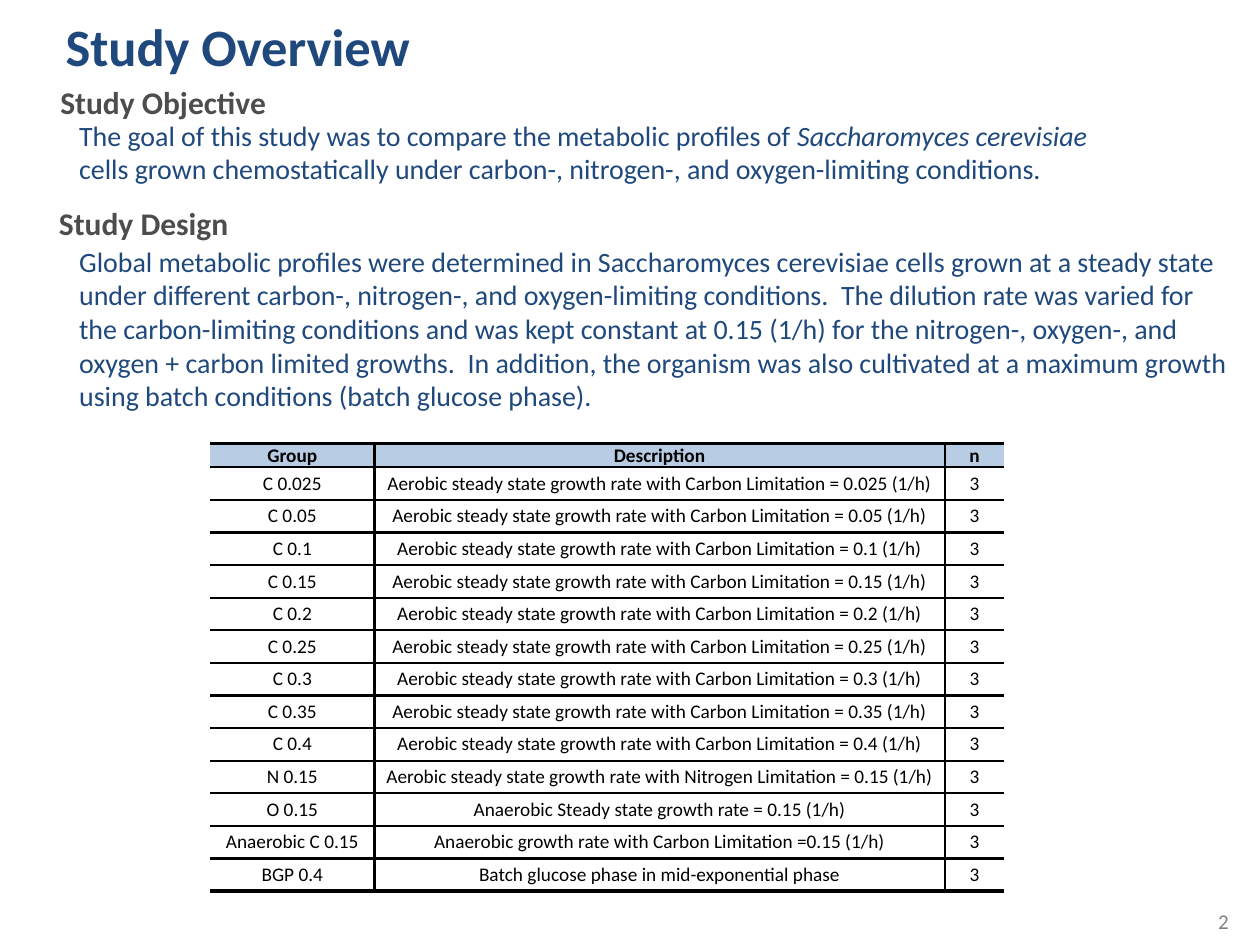
"""Build the study overview slide with its table of growth groups."""
import pptx
import pptx.util
import pptx.dml.color
import pptx.enum.text
import pptx.oxml.ns
from lxml import etree

Color = pptx.dml.color.RGBColor
Align = pptx.enum.text.PP_ALIGN
Anchor = pptx.enum.text.MSO_ANCHOR
Fit = pptx.enum.text.MSO_AUTO_SIZE

NAVY = Color(0x1F, 0x49, 0x7D)
DARK = Color(0x4D, 0x4D, 0x4D)
GRAY = Color(0x80, 0x80, 0x80)
BLACK = Color(0, 0, 0)
PALE = Color(0xB8, 0xCC, 0xE4)
FONT = "Calibri"
WIDE, HIGH = pptx.util.Inches(10), pptx.util.Inches(7.5)
PLAIN = "{2D5ABB26-0587-4C30-8999-92F81FD0307C}"
THIN, THICK = 1.5, 2.25

TITLE = ("Study Overview", (4.2, 1.33, 90, 7.07))
HEADS = [
    ("Study Design", (3.7, 20.93, 15.6, 5.33)),
    ("Study Objective", (3.8, 8.13, 18.5, 5.33)),
]
BODIES = [
    ([("The goal of this study was to compare the metabolic profiles of ", False),
      ("Saccharomyces cerevisiae ", True),
      ("cells grown chemostatically under carbon-, nitrogen-, and "
       "oxygen-limiting conditions.", False)], (5.3, 11.87, 82.4, 8.53)),
    ("Global metabolic profiles were determined in Saccharomyces cerevisiae cells "
     "grown at a steady state under different carbon-, nitrogen-, and "
     "oxygen-limiting conditions.  The dilution rate was varied for the "
     "carbon-limiting conditions and was kept constant at 0.15 (1/h) for the "
     "nitrogen-, oxygen-, and oxygen + carbon limited growths.  In addition, the "
     "organism was also cultivated at a maximum growth using batch conditions "
     "(batch glucose phase).", (5.3, 25.2, 93.9, 19.33)),
]
PAGE = ("2", (95.7, 95.47, 4, 5.33))

RATES = ["0.025", "0.05", "0.1", "0.15", "0.2", "0.25", "0.3", "0.35", "0.4"]
STEADY = "Aerobic steady state growth rate with {} Limitation = {} (1/h)"
GROUPS = [(f"C {rate}", STEADY.format("Carbon", rate)) for rate in RATES] + [
    ("N 0.15", STEADY.format("Nitrogen", "0.15")),
    ("O 0.15", "Anaerobic Steady state growth rate = 0.15 (1/h)"),
    ("Anaerobic C 0.15", "Anaerobic growth rate with Carbon Limitation =0.15 (1/h)"),
    ("BGP 0.4", "Batch glucose phase in mid-exponential phase"),
]
ROWS = [("Group", "Description", "n")] + [(*group, "3") for group in GROUPS]
COLS = (13, 45.3, 4.7)
TALL = [2.53] + [3.45] * len(GROUPS)
SPOT = (16.7, 46.93, sum(COLS), sum(TALL))


def across(share):
    return int(WIDE * share / 100)


def down(share):
    return int(HIGH * share / 100)


def place(spot):
    left, top, width, height = spot
    return across(left), down(top), across(width), down(height)


def write(frame, text, size=16, color=NAVY, bold=False, align=Align.LEFT):
    part = frame.paragraphs[0]
    part.alignment = align
    for words, slant in [(text, False)] if isinstance(text, str) else text:
        run = part.add_run()
        run.text = words
        font = run.font
        font.name, font.size, font.color.rgb = FONT, pptx.util.Pt(size), color
        font.bold, font.italic = bold, slant


def add_text(slide, text, spot, wrap=True, **style):
    frame = slide.shapes.add_textbox(*place(spot)).text_frame
    frame.word_wrap = wrap
    frame.auto_size = Fit.SHAPE_TO_FIT_TEXT
    write(frame, text, **style)


def add_edge(cell, side, width):
    name = pptx.oxml.ns.qn
    line = etree.SubElement(cell._tc.get_or_add_tcPr(), name(f"a:ln{side}"))
    if not width:
        etree.SubElement(line, name("a:noFill"))
        return
    line.set("w", str(pptx.util.Pt(width)))
    fill = etree.SubElement(line, name("a:solidFill"))
    etree.SubElement(fill, name("a:srgbClr"), val=str(BLACK))


def add_grid(slide):
    table = slide.shapes.add_table(len(ROWS), len(COLS), *place(SPOT)).table
    table._tbl.tblPr.find(pptx.oxml.ns.qn("a:tableStyleId")).text = PLAIN
    for col, share in zip(table.columns, COLS):
        col.width = across(share)
    for row, share in zip(table.rows, TALL):
        row.height = down(share)
    rules = (0, THICK, THIN, 0)
    bars = [THICK] + [THIN] * len(GROUPS) + [THICK]
    for i, row in enumerate(ROWS):
        for j, text in enumerate(row):
            cell = table.cell(i, j)
            edges = (rules[j], rules[j + 1], bars[i], bars[i + 1])
            for side, width in zip("LRTB", edges):
                add_edge(cell, side, width)
            if i:
                cell.fill.background()
            else:
                cell.fill.solid()
                cell.fill.fore_color.rgb = PALE
            cell.margin_left = cell.margin_right = pptx.util.Inches(0.07)
            cell.margin_top = cell.margin_bottom = 0
            cell.vertical_anchor = Anchor.MIDDLE
            write(cell.text_frame, text, size=11, color=BLACK,
                  bold=i == 0, align=Align.CENTER)


def main():
    deck = pptx.Presentation()
    deck.slide_width, deck.slide_height = WIDE, HIGH
    slide = deck.slides.add_slide(deck.slide_layouts[5])
    text, spot = TITLE
    title = slide.shapes.title
    title.left, title.top, title.width, title.height = place(spot)
    title.text_frame.auto_size = Fit.NONE
    title.text_frame.vertical_anchor = Anchor.MIDDLE
    write(title.text_frame, text, size=30, bold=True)
    for text, spot in HEADS:
        add_text(slide, text, spot, wrap=False, size=18, color=DARK, bold=True)
    for text, spot in BODIES:
        add_text(slide, text, spot)
    add_grid(slide)
    add_text(slide, *PAGE, size=12, color=GRAY)
    deck.save("out.pptx")


if __name__ == "__main__":
    main()
